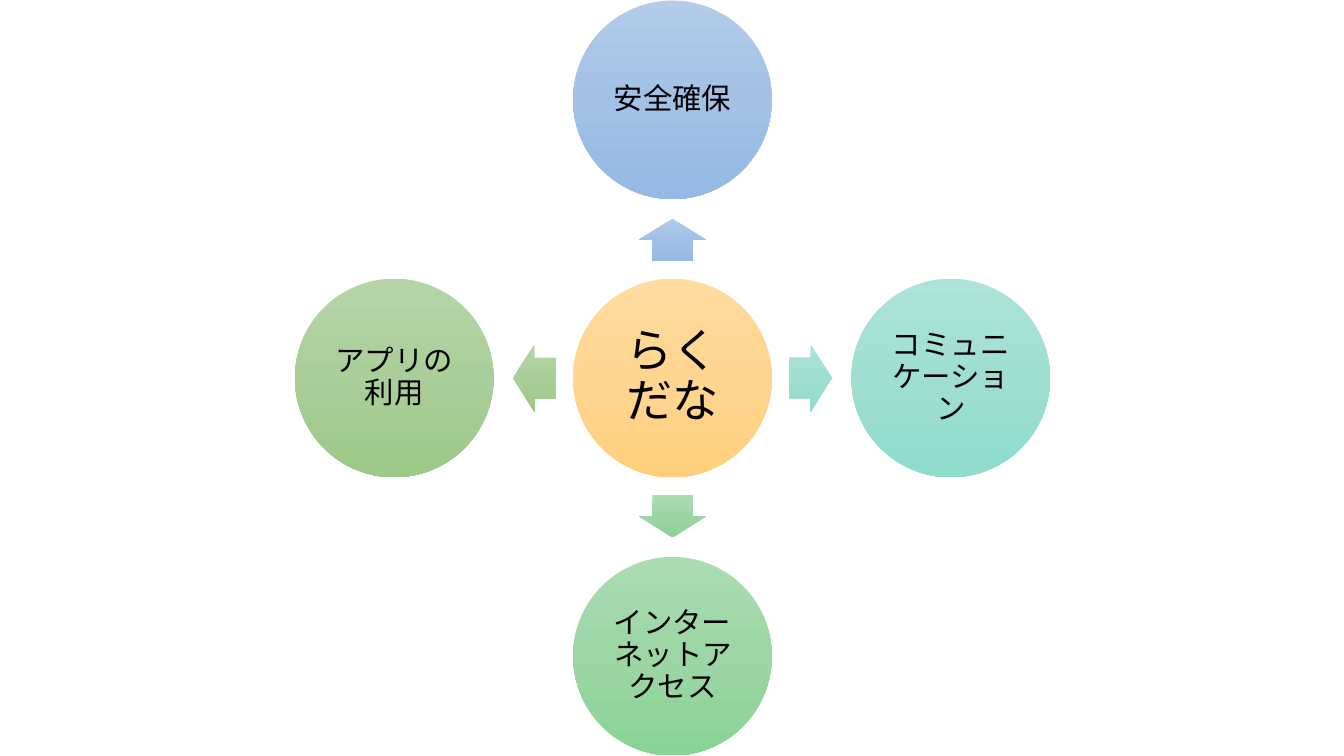
import copy
import math

import pptx
import pptx.dml.color
import pptx.enum.shapes
import pptx.enum.text
import pptx.oxml.ns
import pptx.util

SCALE = 9144
FONT = "Noto Sans CJK JP"
MID_X, MID_Y = 667, 375
DISC, REACH = 197, 276
COLORS = {
    "text": "000000",
    "hub": ("FFDB9E", "FFD590", "FFD07C"),
    "blue": ("B1CBE9", "A3C1E5", "93B9E4"),
    "teal": ("ADE3D9", "9FDED2", "8EDCCE"),
    "green": ("AADCB2", "9CD6A5", "8AD396"),
    "olive": ("B5D5A7", "AACE9A", "9CC987"),
}
SPOKES = (
    (270, "blue", "安全確保"),
    (0, "teal", "コミュニケーション"),
    (90, "green", "インターネットアクセス"),
    (180, "olive", "アプリの利用"),
)


def px(size):
    """Turn px into EMU."""
    return pptx.util.Emu(round(size * SCALE))


def rgb(code):
    """Turn a hex string into a colour."""
    return pptx.dml.color.RGBColor.from_string(code)


def shade(shape, tone):
    """Fill a shape with three stops running from top to bottom."""
    fill = shape.fill
    fill.gradient()
    fill.gradient_angle = 270
    grad = shape.element.spPr.find(pptx.oxml.ns.qn("a:gradFill"))
    grad.set("rotWithShape", "0")
    grad[0].insert(1, copy.deepcopy(grad[0][0]))
    for index, (stop, code) in enumerate(zip(fill.gradient_stops, COLORS[tone])):
        stop.position = index / 2
        stop.color.rgb = rgb(code)


def add_part(slide, kind, x, y, wide, high, tone):
    """Add a shaded shape centred on a point."""
    shape = slide.shapes.add_shape(
        kind, px(x - wide / 2), px(y - high / 2), px(wide), px(high))
    shape.shadow.inherit = False
    shape.line.fill.background()
    shade(shape, tone)
    return shape


def add_disc(slide, x, y, tone, text, size, inset):
    """Add a circle with a centred label."""
    kind = pptx.enum.shapes.MSO_SHAPE.OVAL
    frame = add_part(slide, kind, x, y, DISC, DISC, tone).text_frame
    frame.word_wrap = True
    frame.vertical_anchor = pptx.enum.text.MSO_ANCHOR.MIDDLE
    frame.margin_left = frame.margin_right = px(inset)
    frame.margin_top = frame.margin_bottom = px(inset)
    para = frame.paragraphs[0]
    para.text = text
    para.alignment = pptx.enum.text.PP_ALIGN.CENTER
    para.line_spacing = 0.9
    font = para.font
    font.name = FONT
    font.size = pptx.util.Pt(size)
    font.color.rgb = rgb(COLORS["text"])
    props = para._p.pPr.find(pptx.oxml.ns.qn("a:defRPr"))
    east = props.makeelement(pptx.oxml.ns.qn("a:ea"), {"typeface": FONT})
    props.append(east)


def add_spoke(slide, angle, tone, text):
    """Add an arrow and the circle it points to."""
    turn = math.radians(angle)
    dx, dy = math.cos(turn), math.sin(turn)
    kind = pptx.enum.shapes.MSO_SHAPE.RIGHT_ARROW
    half = REACH / 2 - 1
    arrow = add_part(slide, kind, MID_X + half * dx, MID_Y + half * dy, 42, 67, tone)
    arrow.adjustments[0] = 0.6
    arrow.adjustments[1] = 0.5
    arrow.rotation = angle
    add_disc(slide, MID_X + REACH * dx, MID_Y + REACH * dy, tone, text, 21, 3)


def main():
    """Build the slide and save it."""
    deck = pptx.Presentation()
    deck.slide_width, deck.slide_height = px(1333), px(750)
    slide = deck.slides.add_slide(deck.slide_layouts[6])
    add_disc(slide, MID_X, MID_Y, "hub", "らくだな", 33, 5)
    for angle, tone, text in SPOKES:
        add_spoke(slide, angle, tone, text)
    deck.save("out.pptx")


if __name__ == "__main__":
    main()
